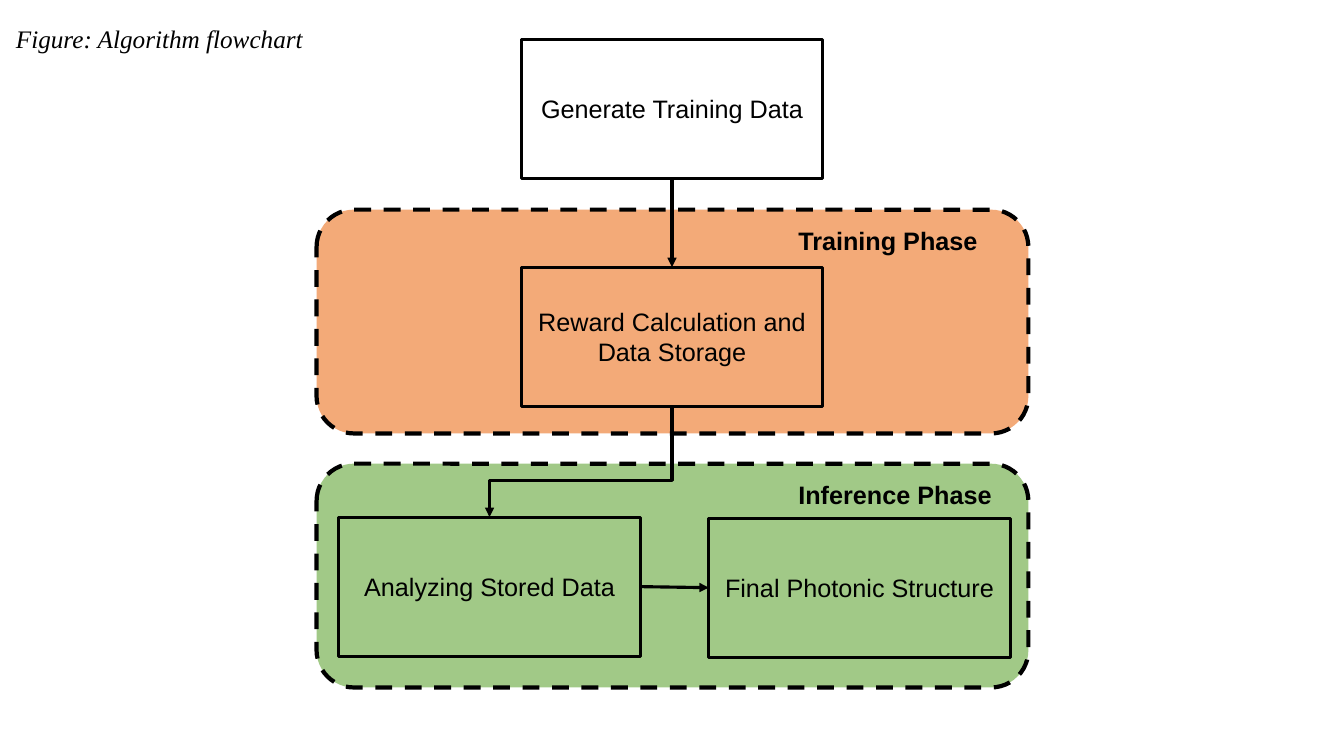
from lxml.etree import SubElement
from pptx import Presentation
from pptx.dml.color import RGBColor
from pptx.enum.dml import MSO_LINE
from pptx.enum.shapes import MSO_CONNECTOR as CONNECTOR, MSO_SHAPE as SHAPE
from pptx.enum.text import MSO_ANCHOR, MSO_AUTO_SIZE, PP_ALIGN
from pptx.oxml.ns import qn
from pptx.util import Inches, Pt

BLACK = RGBColor(0x00, 0x00, 0x00)
ORANGE = RGBColor(0xED, 0x7D, 0x31)
GREEN = RGBColor(0x70, 0xAD, 0x47)

PHASE_LEFT, PHASE_WIDTH, PHASE_HEIGHT = 3.14, 7.06, 2.22
STEP_WIDTH, STEP_HEIGHT = 2.99, 1.38
LABEL_LEFT, LABEL_OFFSET = 7.82, 0.11
TOP, BOTTOM, LEFT, RIGHT = 0, 2, 1, 3


def style_text(paragraph, font_name="Arial", bold=None, italic=None):
    font = paragraph.font
    font.name = font_name
    font.size = Pt(18)
    font.color.rgb = BLACK
    font.bold = bold
    font.italic = italic


def style_line(line, width):
    line.color.rgb = BLACK
    line.width = Pt(width)


def add_phase(slide, top, color):
    phase = slide.shapes.add_shape(
        SHAPE.ROUNDED_RECTANGLE, Inches(PHASE_LEFT), Inches(top),
        Inches(PHASE_WIDTH), Inches(PHASE_HEIGHT))
    phase.shadow.inherit = False
    phase.fill.solid()
    phase.fill.fore_color.rgb = color
    tint = phase.element.spPr.find(qn("a:solidFill")).find(qn("a:srgbClr"))
    SubElement(tint, qn("a:alpha")).set("val", "65000")
    style_line(phase.line, 3)
    phase.line.dash_style = MSO_LINE.DASH


def add_step(slide, left, top, *lines):
    step = slide.shapes.add_shape(
        SHAPE.RECTANGLE, Inches(left), Inches(top),
        Inches(STEP_WIDTH), Inches(STEP_HEIGHT))
    step.shadow.inherit = False
    step.fill.background()
    style_line(step.line, 2.25)
    frame = step.text_frame
    frame.word_wrap = True
    frame.vertical_anchor = MSO_ANCHOR.MIDDLE
    frame.text = "\n".join(lines)
    for paragraph in frame.paragraphs:
        paragraph.alignment = PP_ALIGN.CENTER
        style_text(paragraph)
    return step


def add_label(slide, left, top, width, text, wrap=True, **font_style):
    label = slide.shapes.add_textbox(
        Inches(left), Inches(top), Inches(width), Inches(0.4))
    frame = label.text_frame
    frame.word_wrap = wrap
    frame.auto_size = MSO_AUTO_SIZE.SHAPE_TO_FIT_TEXT
    frame.text = text
    style_text(frame.paragraphs[0], **font_style)


def style_arrow(arrow):
    style_line(arrow.line, 2.25)
    SubElement(arrow.line._get_or_add_ln(), qn("a:tailEnd")).set("type", "triangle")
    SubElement(arrow.element.spPr, qn("a:effectLst"))


def add_arrow(slide, source, source_side, target, target_side):
    arrow = slide.shapes.add_connector(CONNECTOR.STRAIGHT, 0, 0, 0, 0)
    arrow.begin_connect(source, source_side)
    arrow.end_connect(target, target_side)
    style_arrow(arrow)


def add_elbow_down_left(slide, source, target, bend):
    start_x = source.left + source.width // 2
    start_y = source.top + source.height
    end_x = target.left + target.width // 2
    drop, run = target.top - start_y, start_x - end_x
    left = (start_x + end_x - drop) // 2
    top = (start_y + target.top - run) // 2
    elbow = slide.shapes.add_connector(
        CONNECTOR.ELBOW, left, top, left + drop, top + run)
    elbow.element.spPr.find(qn("a:xfrm")).set("rot", "5400000")
    adjustments = elbow.element.spPr.find(qn("a:prstGeom")).find(qn("a:avLst"))
    guide = SubElement(adjustments, qn("a:gd"))
    guide.set("name", "adj1")
    guide.set("fmla", f"val {round(bend * 100000)}")
    style_arrow(elbow)


def main():
    presentation = Presentation()
    presentation.slide_width = Inches(13.33)
    presentation.slide_height = Inches(7.5)
    slide = presentation.slides.add_slide(presentation.slide_layouts[6])

    training_top, inference_top = 2.08, 4.6
    add_phase(slide, training_top, ORANGE)
    add_phase(slide, inference_top, GREEN)

    generate = add_step(slide, 5.17, 0.39, "Generate Training Data")
    reward = add_step(slide, 5.17, 2.65, "Reward Calculation and", "Data Storage")
    analyze = add_step(slide, 3.36, 5.13, "Analyzing Stored Data")
    structure = add_step(slide, 7.03, 5.14, "Final Photonic Structure")

    add_label(slide, LABEL_LEFT, training_top + LABEL_OFFSET, 2.03,
              "Training Phase", bold=True)
    add_label(slide, LABEL_LEFT, inference_top + LABEL_OFFSET, 2.2,
              "Inference Phase", bold=True)

    add_arrow(slide, generate, BOTTOM, reward, TOP)
    add_elbow_down_left(slide, reward, analyze, 0.67)
    add_arrow(slide, analyze, RIGHT, structure, LEFT)

    add_label(slide, 0.06, 0.18, 3.08, "Figure: Algorithm flowchart",
              wrap=False, font_name="Times New Roman", italic=True)

    presentation.save("out.pptx")


if __name__ == "__main__":
    main()
